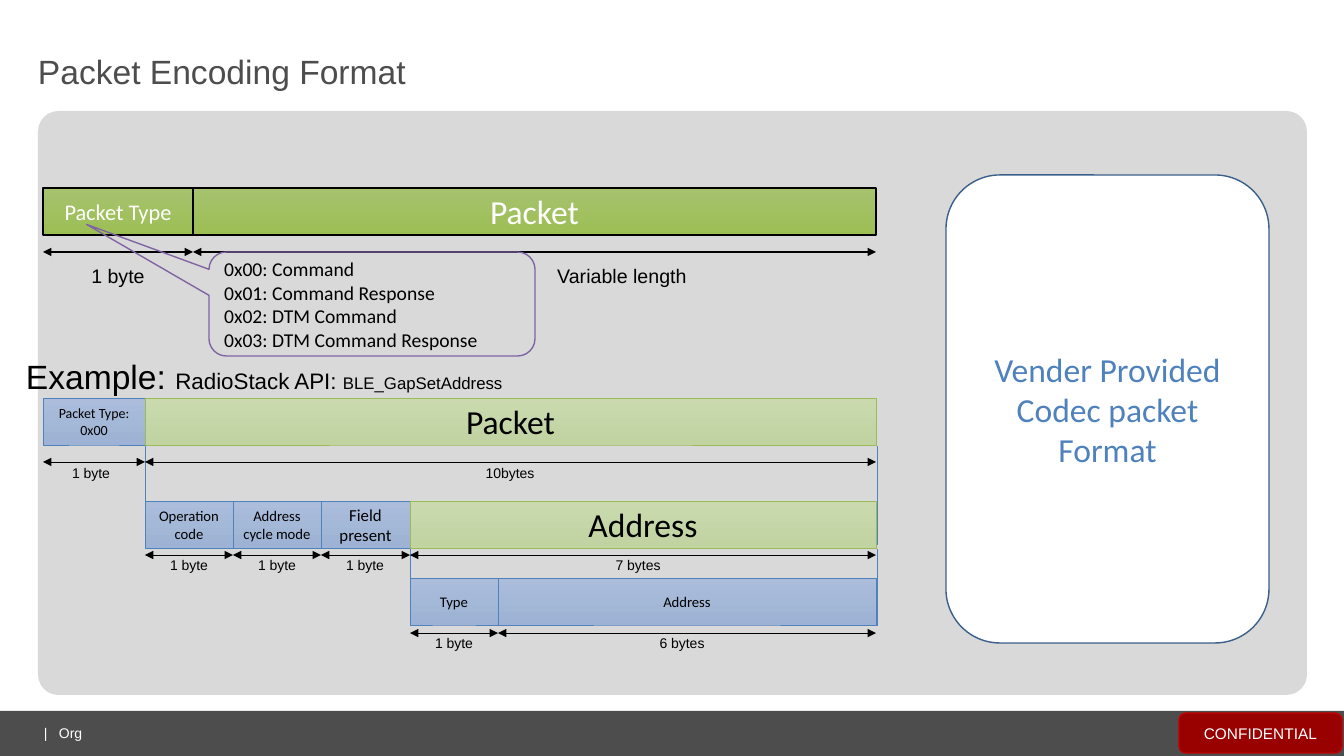
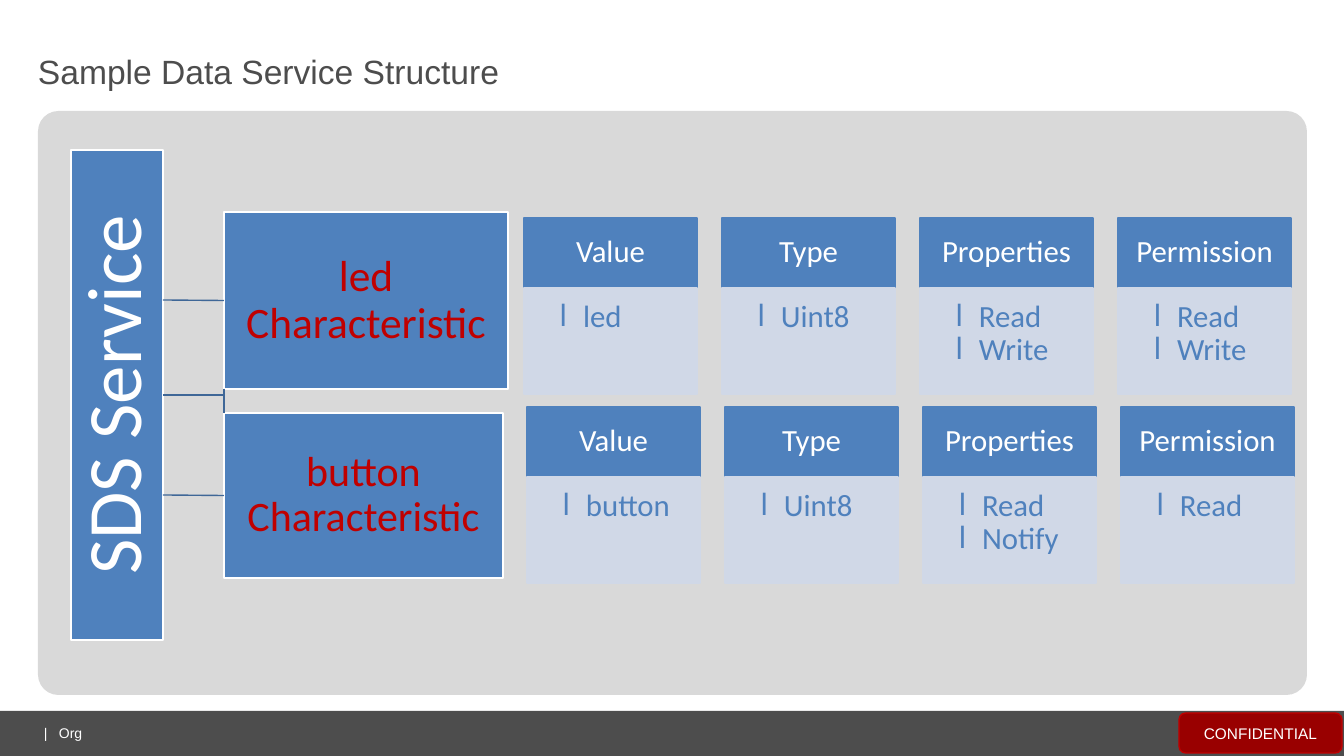
from itertools import pairwise

from lxml import etree
from pptx import Presentation
from pptx.dml.color import RGBColor
from pptx.enum import shapes, text
from pptx.oxml.ns import qn
from pptx.util import Emu, Pt

PX = 9074  # EMU per px
W, H = 1344, 756
COLORS = {
    "white": "FFFFFF", "black": "000000", "bar": "4D4D4D", "panel": "D9D9D9",
    "badge": "990000", "red": "C00000", "blue": "4F81BD", "pale": "D0D8E7",
    "navy": "3A5F8B", "link": "3F6797", "purple": "8064A2", "green": "9BBB59",
}
GRADIENTS = {
    "strong green": ("A6C26F", "9CBF54"),
    "soft green": ("CADAAE", "C0D3A1"),
    "soft blue": ("ABBDDB", "9DB2D4"),
}
RECT = shapes.MSO_SHAPE.RECTANGLE
ROUND = shapes.MSO_SHAPE.ROUNDED_RECTANGLE
CALLOUT = shapes.MSO_SHAPE.ROUNDED_RECTANGULAR_CALLOUT
LEFT, CENTER = text.PP_ALIGN.LEFT, text.PP_ALIGN.CENTER
TOP, MIDDLE = text.MSO_ANCHOR.TOP, text.MSO_ANCHOR.MIDDLE


def px(n):
    return Emu(n * PX)


def rgb(name):
    return RGBColor.from_string(COLORS.get(name, name))


class Deck:
    def __init__(self):
        self.prs = Presentation()
        self.prs.slide_width, self.prs.slide_height = px(W), px(H)
        self.s = None

    # Shared frame: footer bar, badge, panel and title
    def slide(self, title):
        self.s = self.prs.slides.add_slide(self.prs.slide_layouts[6])
        self.shape(0, 711, W, 45, "bar")
        badge = self.shape(1179, 713, 163, 40, "badge", "red", kind=ROUND, adj=[0.167])
        self.put_text(badge, ["CONFIDENTIAL"], 11, "white", "Arial")
        footer = self.label(26, 718, 190, 30, ["|\tOrg"], 10, "white",
                            ins=(18, 0, 10, 0), anchor=MIDDLE)
        tabs = etree.SubElement(footer.text_frame.paragraphs[0]._p.get_or_add_pPr(),
                                qn("a:tabLst"))
        etree.SubElement(tabs, qn("a:tab"), pos=str(px(15)), algn="l")
        self.shape(38, 111, 1269, 584, "panel", kind=ROUND, adj=[0.035])
        self.label(38, 31, 1269, 80, [title], 24, "bar", anchor=MIDDLE)

    def shape(self, x, y, w, h, fill=None, line=None, width=1, kind=RECT, adj=()):
        sp = self.s.shapes.add_shape(kind, px(x), px(y), px(w), px(h))
        sp.shadow.inherit = False
        for i, value in enumerate(adj):
            sp.adjustments[i] = value
        if fill in GRADIENTS:
            sp.fill.gradient()
            sp.fill.gradient_angle = 270
            for stop, color in zip(sp.fill.gradient_stops, GRADIENTS[fill]):
                stop.color.rgb = rgb(color)
        elif fill:
            sp.fill.solid()
            sp.fill.fore_color.rgb = rgb(fill)
        else:
            sp.fill.background()
        if line:
            sp.line.color.rgb = rgb(line)
            sp.line.width = Pt(width)
        else:
            sp.line.fill.background()
        return sp

    def put_text(self, sp, paragraphs, size, color, font="Calibri", align=CENTER,
                 anchor=MIDDLE, ins=(10, 5, 10, 5), spacing=None, bullet=None):
        """Each paragraph is a string or a list of (string, size) runs."""
        tf = sp.text_frame
        tf.word_wrap = True
        tf.vertical_anchor = anchor
        (tf.margin_left, tf.margin_top,
         tf.margin_right, tf.margin_bottom) = map(px, ins)
        for i, runs in enumerate(paragraphs):
            p = tf.add_paragraph() if i else tf.paragraphs[0]
            p.alignment = align
            if spacing:
                p.line_spacing = spacing
            if bullet:
                p.level = 1
                pPr = p._p.get_or_add_pPr()
                pPr.set("marL", str(px(46)))
                pPr.set("indent", str(px(-23)))
                etree.SubElement(pPr, qn("a:buFont"), typeface="Arial")
                etree.SubElement(pPr, qn("a:buChar"), char=bullet)
            for words, pt in [(runs, size)] if isinstance(runs, str) else runs:
                r = p.add_run()
                r.text = words
                r.font.name, r.font.size = font, Pt(pt)
                r.font.color.rgb = rgb(color)

    def label(self, x, y, w, h, paragraphs, size, color="black", align=LEFT,
              anchor=TOP, ins=(0, 0, 0, 0)):
        sp = self.s.shapes.add_textbox(px(x), px(y), px(w), px(h))
        self.put_text(sp, paragraphs, size, color, "Arial", align, anchor, ins)
        return sp

    def line(self, x1, y1, x2, y2, color, width, arrows=False):
        c = self.s.shapes.add_connector(shapes.MSO_CONNECTOR.STRAIGHT,
                                        px(x1), px(y1), px(x2), px(y2))
        c.line.color.rgb = rgb(color)
        c.line.width = Pt(width)
        if arrows:
            ln = c.line._get_or_add_ln()
            for end in ("a:headEnd", "a:tailEnd"):
                etree.SubElement(ln, qn(end), type="triangle")
        etree.SubElement(c._element.spPr, qn("a:effectLst"))
        return c

    # Row of packet fields, each with a length arrow and label below
    def fields(self, y, edges, cells, arrow_y, label_y, label_size=10,
               border=0.5, color="black"):
        for (x1, x2), cell in zip(pairwise(edges), cells):
            paragraphs, size, fill, line, length, shift = cell
            sp = self.shape(x1, y, x2 - x1, 47, fill, line, border)
            self.put_text(sp, paragraphs, size, color)
            self.line(x1, arrow_y, x2, arrow_y, "black", 1 if border > 1 else 0.5, True)
            self.label((x1 + x2) // 2 + shift - 65, label_y, 130, 23,
                       [length], label_size, align=CENTER)

    # Attribute card: header over a bulleted body
    def card(self, x, y, name, values):
        head = self.shape(x, y, 173, 70, "blue", "blue")
        self.put_text(head, [name], 22, "white", ins=(17, 10, 17, 10), spacing=0.9)
        body = self.shape(x, y + 70, 173, 106, "pale", "pale")
        self.put_text(body, values, 22, "blue", align=LEFT, anchor=TOP,
                      ins=(13, 13, 17, 19), spacing=0.9, bullet="l")

    def node(self, x, y, w, h, name, size, color, inset):
        sp = self.shape(x, y, w, h, "blue", "white")
        self.put_text(sp, [name], size, color, ins=(inset,) * 4, spacing=0.9)
        return sp


def packet_slide(d):
    d.slide("Packet Encoding Format")

    # General layout of a packet
    strong = ("strong green", "black")
    d.fields(188, (43, 193, 876), [
        (["Packet Type"], 16, *strong, "1 byte", 0),
        (["Packet"], 24, *strong, "Variable length", 88),
    ], 252, 264, 14, 1.5, "white")

    # Example packet, opened up level by level
    d.label(26, 356, 520, 40, [[("Example: ", 24), ("RadioStack API: ", 16),
                               ("BLE_GapSetAddress", 12)]], 24)
    for x, top, bottom in ((145, 446, 545), (877, 446, 545),
                           (410, 549, 626), (877, 549, 626)):
        d.line(x, top, x, bottom, "blue", 0.5)
    blue, green = ("soft blue", "blue"), ("soft green", "green")
    d.fields(398, (43, 145, 876), [
        (["Packet Type:", "0x00"], 10, *blue, "1 byte", -3),
        (["Packet"], 24, *green, "10bytes", 0),
    ], 462, 465)
    d.fields(501, (145, 233, 321, 410, 876), [
        (["Operation code"], 10.5, *blue, "1 byte", 0),
        (["Address cycle mode"], 10.5, *blue, "1 byte", 0),
        (["Field present"], 12, *blue, "1 byte", 0),
        (["Address"], 24, *green, "7 bytes", -5),
    ], 555, 557)
    d.fields(578, (410, 498, 876), [
        (["Type"], 10.5, *blue, "1 byte", 0),
        (["Address"], 10.5, *blue, "6 bytes", -5),
    ], 633, 635)

    # Packet type values and codec note
    types = d.shape(209, 252, 326, 104, None, "purple", kind=CALLOUT,
                    adj=[-0.876, -0.766, 0.167])
    d.put_text(types, ["0x00: Command", "0x01: Command Response", "0x02: DTM Command",
                       "0x03: DTM Command Response"], 14, "black", align=LEFT)
    codec = d.shape(946, 175, 323, 468, "white", "navy", kind=ROUND, adj=[0.167])
    d.put_text(codec, ["Vender Provided", "Codec packet Format"], 24, "blue")


def service_slide(d):
    d.slide("Sample Data Service Structure")

    # Attributes of each characteristic
    names = ("Value", "Type", "Properties", "Permission")
    for x, y, columns in (
        (524, 218, (["led"], ["Uint8"], ["Read", "Write"], ["Read", "Write"])),
        (527, 407, (["button"], ["Uint8"], ["Read", "Notify"], ["Read"])),
    ):
        for i, (name, values) in enumerate(zip(names, columns)):
            d.card(x + i * 198, y, name, values)

    # Service and its characteristics
    service = d.node(71, 150, 92, 490, "SDS Service", 55, "white", 4)
    service.text_frame._txBody.bodyPr.set("vert", "vert270")
    led = d.node(224, 212, 284, 177, "led Characteristic", 31, "red", 2)
    button = d.node(224, 413, 279, 165, "button Characteristic", 30, "red", 2)

    # Branches
    trunk = d.line(163, 395, 224, 395, "link", 1)
    trunk.begin_connect(service, 3)
    d.line(224, 389, 224, 413, "link", 1)
    for node, y in ((led, 300), (button, 495)):
        d.line(163, y, 224, y, "link", 1).end_connect(node, 1)


def main():
    d = Deck()
    packet_slide(d)
    service_slide(d)
    d.prs.save("out.pptx")


if __name__ == "__main__":
    main()
